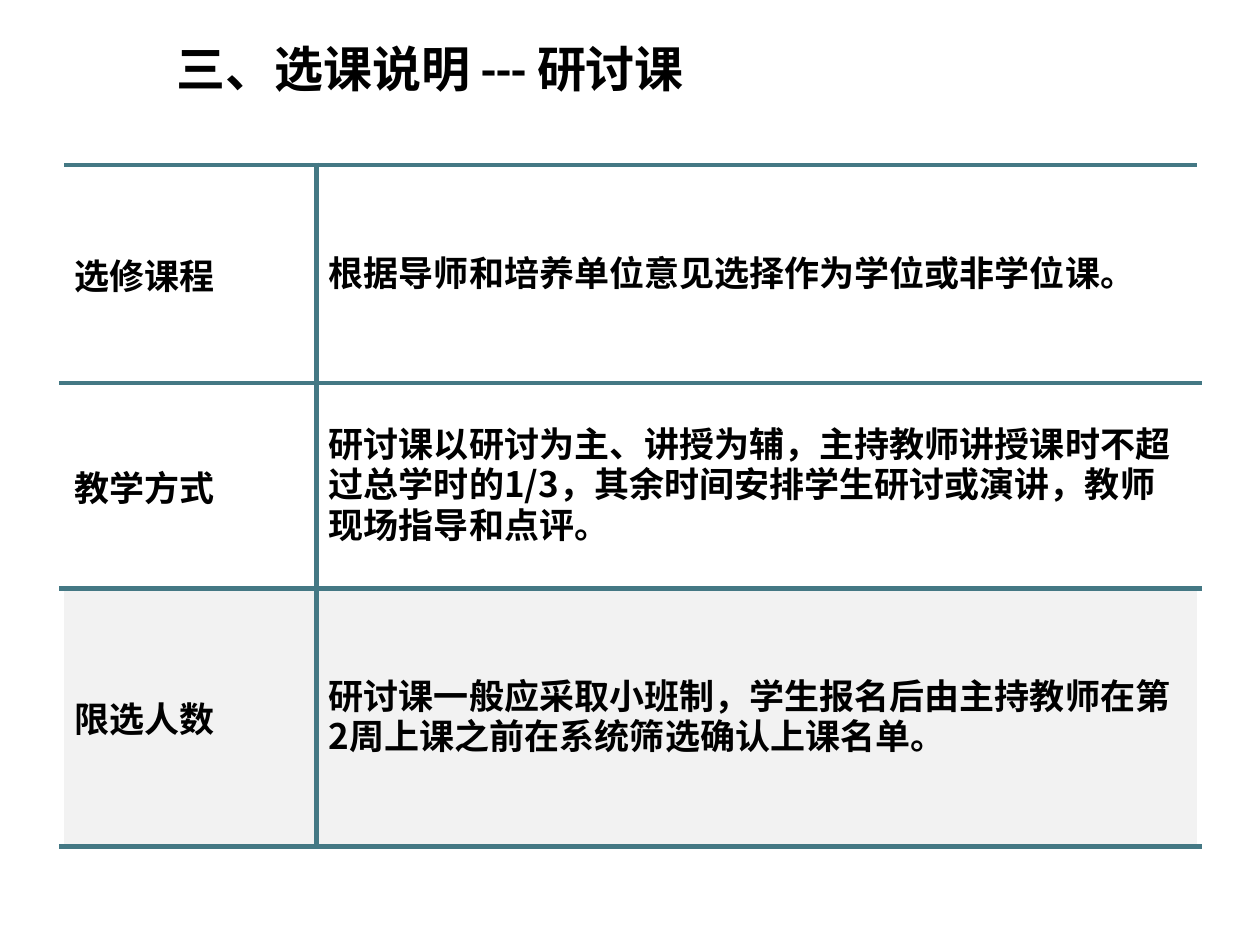
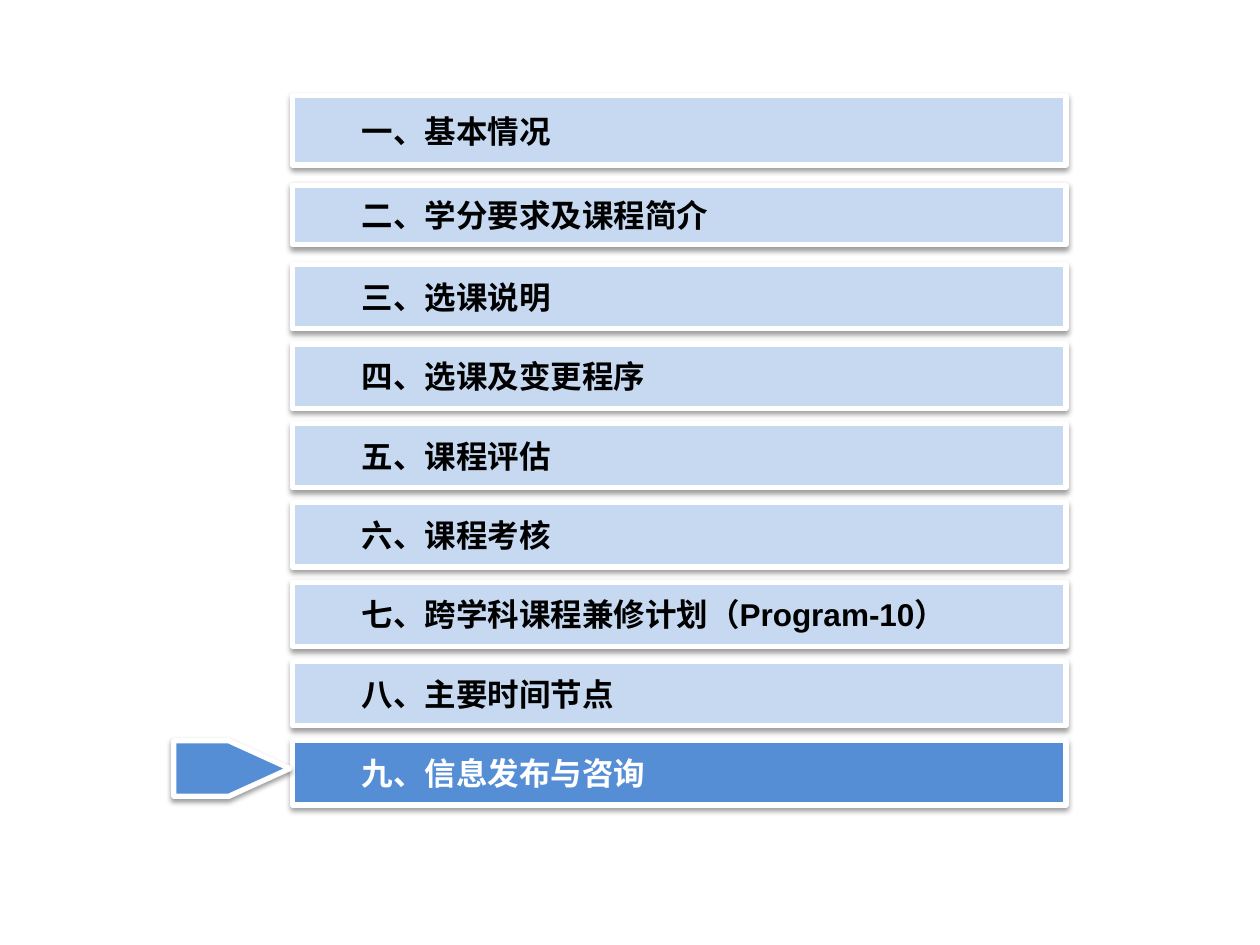
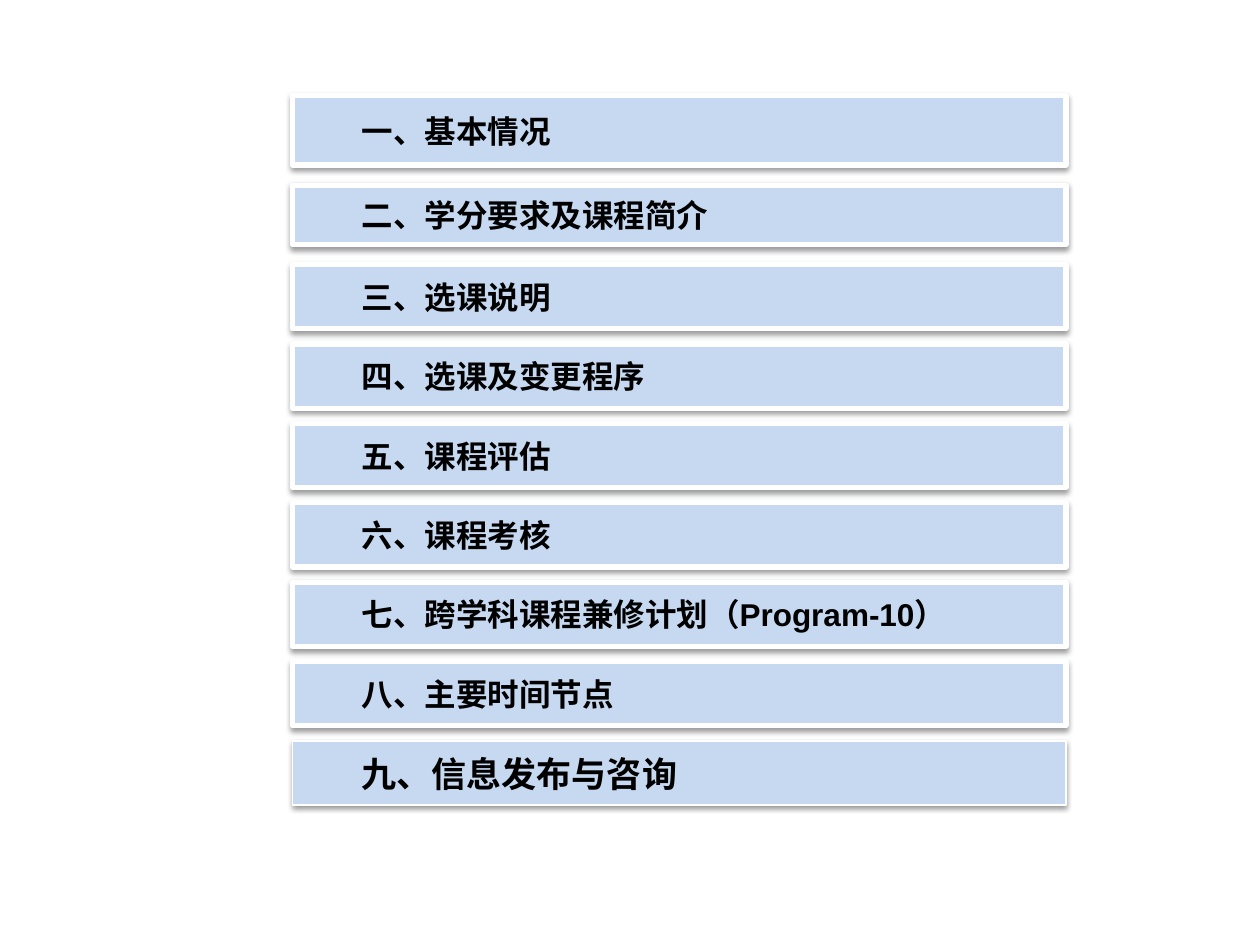
from dataclasses import dataclass

from lxml.etree import SubElement
from pptx import Presentation
from pptx.dml.color import RGBColor
from pptx.enum.shapes import MSO_SHAPE as Preset
from pptx.enum.text import MSO_ANCHOR as Anchor, PP_ALIGN as Align
from pptx.oxml.ns import qn
from pptx.util import Inches, Pt


@dataclass(frozen=True)
class Theme:
    ink: str = "000000"
    paper: str = "FFFFFF"
    rule: str = "447884"
    shade: str = "F2F2F2"
    bar: str = "C6D9F1"
    active: str = "558ED5"
    title_font: str = "Calibri"
    bar_font: str = "Arial"
    chinese_font: str = "Noto Sans CJK SC"
    title_size: int = 28
    table_size: int = 20
    bar_size: int = 18
    last_bar_size: int = 20
    line: float = 3
    thin_line: float = 0.75


THEME = Theme()

SEMINAR_ROWS = [
    ("选修课程", "根据导师和培养单位意见选择作为学位或非学位课。"),
    ("教学方式", "研讨课以研讨为主、讲授为辅，主持教师讲授课时不超过总学时的1/3，"
                 "其余时间安排学生研讨或演讲，教师现场指导和点评。"),
    ("限选人数", "研讨课一般应采取小班制，学生报名后由主持教师在第2周上课之前在"
                 "系统筛选确认上课名单。"),
]

SECTIONS = [
    "一、基本情况",
    "二、学分要求及课程简介",
    "三、选课说明",
    "四、选课及变更程序",
    "五、课程评估",
    "六、课程考核",
    "七、跨学科课程兼修计划（Program-10）",
    "八、主要时间节点",
    "九、信息发布与咨询",
]


def write(frame, text, font, size, color=THEME.ink, spacing=None):
    frame.text = text
    para = frame.paragraphs[0]
    para.alignment = Align.LEFT
    if spacing:
        para.line_spacing = spacing
    for span in para.runs:
        span.font.size = Pt(size)
        span.font.bold = True
        span.font.color.rgb = RGBColor.from_string(color)
        span.font.name = font
        SubElement(span.font._element, qn("a:ea"), typeface=THEME.chinese_font)


def add_title(page, text, left, top, width, height):
    title = page.shapes.title
    title.left, title.top = Inches(left), Inches(top)
    title.width, title.height = Inches(width), Inches(height)
    title.text_frame.vertical_anchor = Anchor.MIDDLE
    write(title.text_frame, text, THEME.title_font, THEME.title_size)


def set_borders(cell, colors):
    """Draw the sides given in the order left, right, top, bottom."""
    properties = cell._tc.get_or_add_tcPr()
    for side, color in zip("LRTB", colors):
        line = SubElement(properties, qn(f"a:ln{side}"), w=str(Pt(THEME.line)))
        SubElement(SubElement(line, qn("a:solidFill")), qn("a:srgbClr"), val=color)


def add_rule_table(page, rows, left, top, widths, heights):
    frame = page.shapes.add_table(len(rows), len(widths), Inches(left), Inches(top),
                                  Inches(sum(widths)), Inches(sum(heights)))
    table = frame.table
    table.first_row = table.horz_banding = False
    for column, width in zip(table.columns, widths):
        column.width = Inches(width)
    for row, height in zip(table.rows, heights):
        row.height = Inches(height)
    for row_index, texts in enumerate(rows):
        fill = THEME.shade if row_index == len(rows) - 1 else THEME.paper
        for column_index, text in enumerate(texts):
            is_label = column_index == 0
            cell = table.cell(row_index, column_index)
            cell.vertical_anchor = Anchor.MIDDLE
            sides = (THEME.paper, THEME.rule) if is_label else (THEME.rule, THEME.paper)
            set_borders(cell, (*sides, THEME.rule, THEME.rule))
            cell.fill.solid()
            cell.fill.fore_color.rgb = RGBColor.from_string(fill)
            write(cell.text_frame, text, THEME.chinese_font, THEME.table_size,
                  spacing=None if is_label else 0.8)


def add_raised_shape(page, preset, left, top, width, height, fill, line=THEME.line):
    """Add a filled shape with a white outline and a soft shadow below it."""
    shape = page.shapes.add_shape(preset, Inches(left), Inches(top),
                                  Inches(width), Inches(height))
    shape.fill.solid()
    shape.fill.fore_color.rgb = RGBColor.from_string(fill)
    shape.line.color.rgb = RGBColor.from_string(THEME.paper)
    shape.line.width = Pt(line)
    shape.shadow.inherit = False
    effects = shape._element.spPr.find(qn("a:effectLst"))
    shadow = SubElement(effects, qn("a:outerShdw"), blurRad=str(Pt(3.1)),
                        dist=str(Pt(1.6)), dir="5400000", rotWithShape="0")
    color = SubElement(shadow, qn("a:srgbClr"), val=THEME.ink)
    SubElement(color, qn("a:alpha"), val="38000")
    return shape


def add_bar(page, text, box, fill, color, size, line):
    bar = add_raised_shape(page, Preset.RECTANGLE, *box, fill, line)
    frame = bar.text_frame
    frame.word_wrap = False
    frame.vertical_anchor = Anchor.MIDDLE
    frame.margin_left, frame.margin_right = Inches(0.55), Inches(0.1)
    frame.margin_top = frame.margin_bottom = Inches(0.05)
    write(frame, text, THEME.bar_font, size, color)


def bar_rows(top):
    """Return the top and height of each bar; the first two break the even pitch."""
    even = [(top + 1.34 + 0.63 * index, 0.51) for index in range(len(SECTIONS) - 2)]
    return [(top, 0.55), (top + 0.71, 0.47), *even]


def add_agenda(page, left, top, width, active=None, last_size=THEME.bar_size,
               last_line=THEME.line):
    last = len(SECTIONS) - 1
    for index, (text, (bar_top, height)) in enumerate(zip(SECTIONS, bar_rows(top))):
        is_active = index == active
        add_bar(page, text, (left, bar_top, width, height),
                THEME.active if is_active else THEME.bar,
                THEME.paper if is_active else THEME.ink,
                last_size if index == last else THEME.bar_size,
                last_line if index == last else THEME.line)
        if is_active:
            pointer = add_raised_shape(page, Preset.PENTAGON, left - 0.94, bar_top,
                                       0.92, 0.44, THEME.active)
            pointer.adjustments[0] = 1.1


def main():
    deck = Presentation()
    deck.slide_width, deck.slide_height = Inches(10), Inches(7.5)
    title_only, blank = deck.slide_layouts[5], deck.slide_layouts[6]

    seminar = deck.slides.add_slide(title_only)
    add_title(seminar, "三、选课说明 --- 研讨课", 1.3, 0.24, 8.2, 0.6)
    add_rule_table(seminar, SEMINAR_ROWS, 0.49, 1.31, (2.02, 7.01), (1.73, 1.63, 2.05))

    add_agenda(deck.slides.add_slide(blank), 2.32, 0.76, 6.14, active=len(SECTIONS) - 1)
    add_agenda(deck.slides.add_slide(blank), 2.32, 0.76, 6.14,
               last_size=THEME.last_bar_size, last_line=THEME.thin_line)

    deck.save("out.pptx")


if __name__ == "__main__":
    main()
